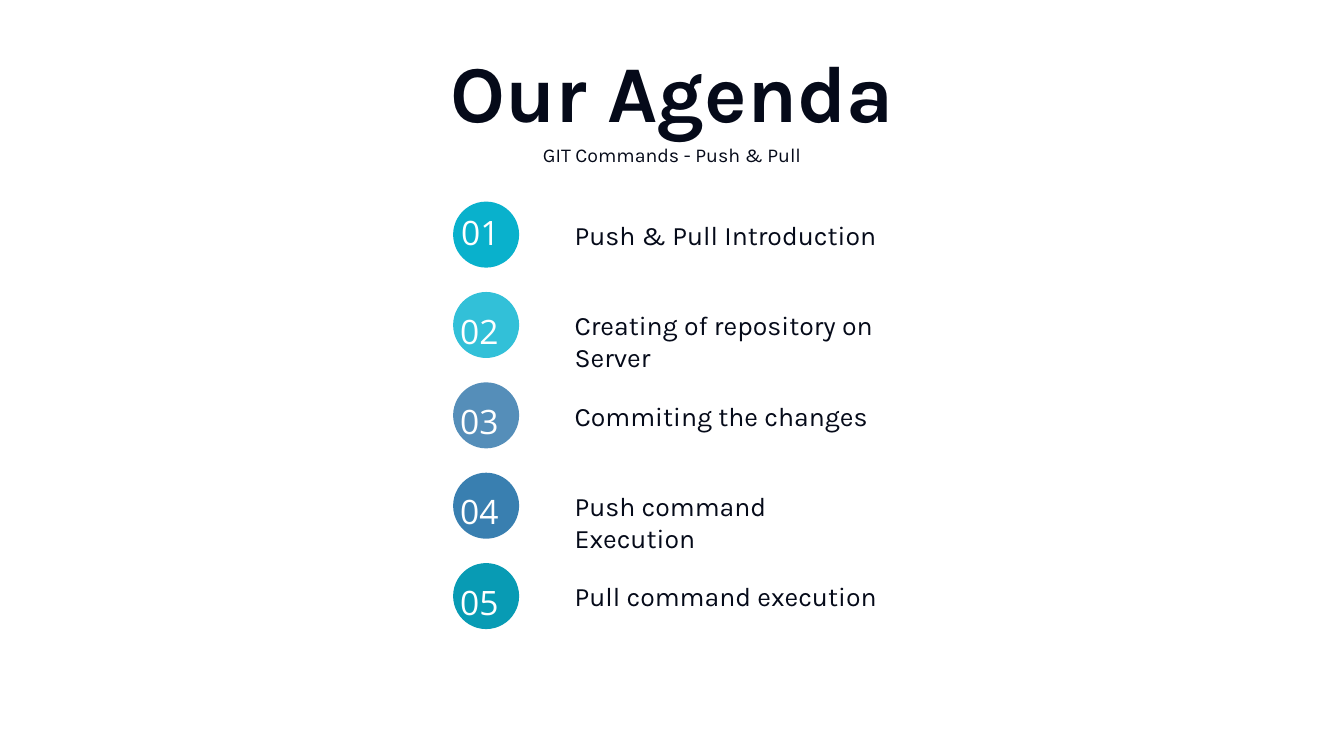
from pptx import Presentation
from pptx.dml.color import RGBColor
from pptx.enum import shapes, text
from pptx.util import Pt

INK = "050A19"
WHITE = "FFFFFF"
AGENDA = [
    ("Push & Pull Introduction", "09B1CC"),
    ("Creating of repository on Server", "32C0D8"),
    ("Commiting the changes", "558EB9"),
    ("Push command Execution", "397FB0"),
    ("Pull command execution", "089BB4"),
]
FIRST_TOP = 288
ROW_PITCH = 129.1
DISC_LEFT = 647.3
DISC_SIZE = 94.3


def color(hex_code):
    return RGBColor.from_string(hex_code)


def add_label(slide, words, box, size, font="Karla", ink=INK, bold=False,
              align=text.PP_ALIGN.LEFT, anchor=text.MSO_ANCHOR.TOP,
              line_spacing=None):
    frame = slide.shapes.add_textbox(*map(Pt, box)).text_frame
    frame.word_wrap = True
    frame.vertical_anchor = anchor
    frame.margin_left = frame.margin_right = 0
    frame.margin_top = frame.margin_bottom = 0
    paragraph = frame.paragraphs[0]
    paragraph.alignment = align
    if line_spacing:
        paragraph.line_spacing = line_spacing
    run = paragraph.add_run()
    run.text = words
    run.font.name = font
    run.font.size = Pt(size)
    run.font.bold = bold
    run.font.color.rgb = color(ink)


def add_disc(slide, top, fill):
    disc = slide.shapes.add_shape(
        shapes.MSO_SHAPE.OVAL,
        Pt(DISC_LEFT), Pt(top), Pt(DISC_SIZE), Pt(DISC_SIZE))
    disc.shadow.inherit = False
    disc.fill.solid()
    disc.fill.fore_color.rgb = color(fill)
    disc.line.fill.background()


def add_agenda_row(slide, number, topic, fill):
    top = FIRST_TOP + (number - 1) * ROW_PITCH
    # The first number sits a little higher in its disc than the others.
    number_box = ((658.8, top + 5.8, 74.2, 64.8) if number == 1
                  else (657.4, top + 14.8, 74.2, 69.8))
    add_disc(slide, top, fill)
    add_label(slide, f"{number:02}", number_box, 48, font="Open Sans",
              ink=WHITE, anchor=text.MSO_ANCHOR.MIDDLE, line_spacing=1.2)
    add_label(slide, topic, (820.8, top + 24.5, 452.9, 46), 38)


def main():
    deck = Presentation()
    deck.slide_width, deck.slide_height = Pt(1920), Pt(1080)
    slide = deck.slides.add_slide(deck.slide_layouts[6])
    slide.background.fill.solid()
    slide.background.fill.fore_color.rgb = color(WHITE)

    center = text.PP_ALIGN.CENTER
    add_label(slide, "Our Agenda", (132, 52.5, 1656, 152), 115, bold=True,
              align=center, anchor=text.MSO_ANCHOR.MIDDLE)
    add_label(slide, "GIT Commands - Push & Pull", (132, 204.5, 1656, 35.3),
              28, align=center)
    for number, (topic, fill) in enumerate(AGENDA, start=1):
        add_agenda_row(slide, number, topic, fill)
    deck.save("out.pptx")


if __name__ == "__main__":
    main()
